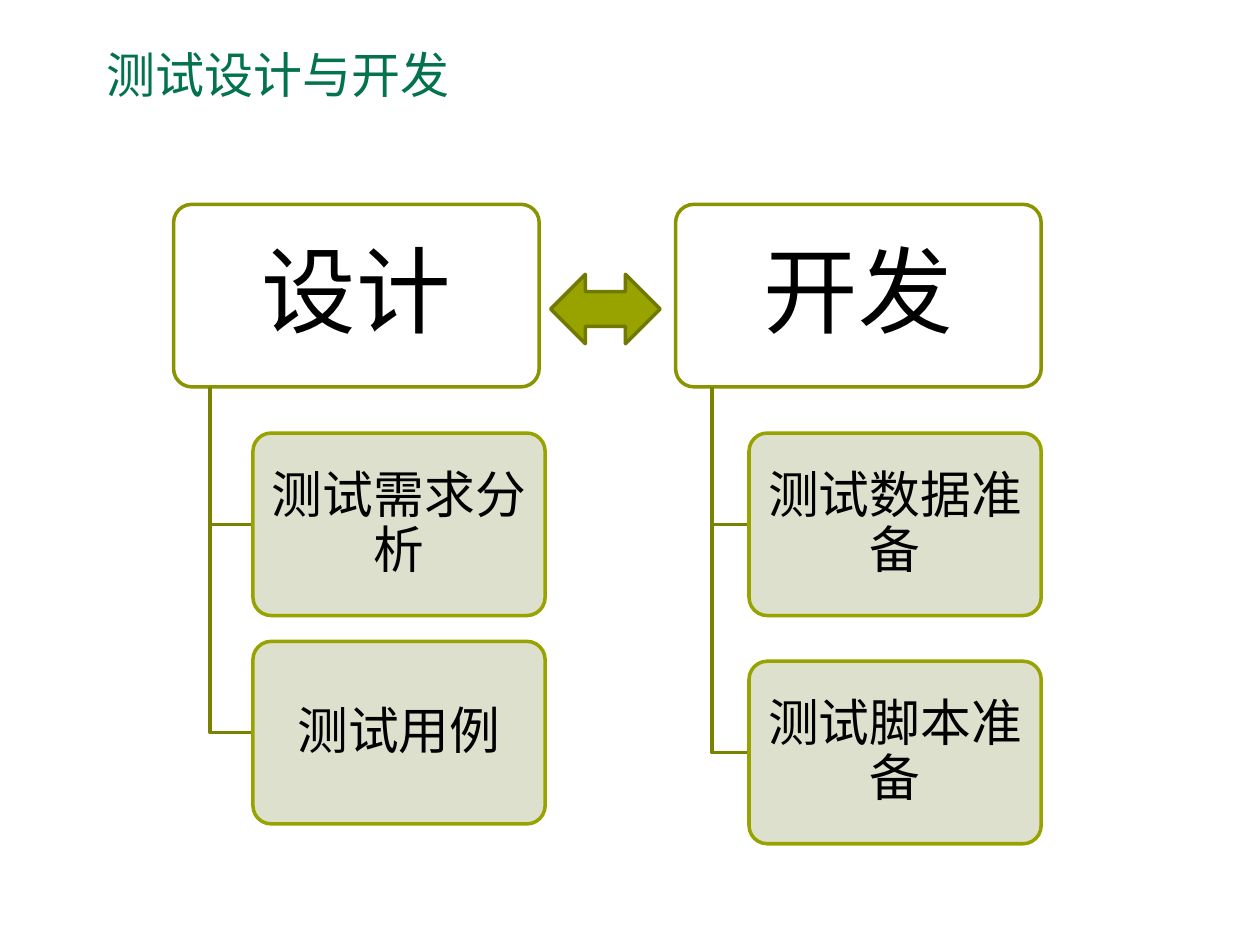
from dataclasses import dataclass

from lxml import etree
from pptx import Presentation
from pptx.dml.color import RGBColor
from pptx.enum.shapes import MSO_SHAPE
from pptx.enum.text import MSO_ANCHOR, PP_ALIGN
from pptx.oxml.ns import qn
from pptx.shapes.autoshape import Shape
from pptx.slide import Slide
from pptx.util import Cm, Pt

ROUNDED = MSO_SHAPE.ROUNDED_RECTANGLE
DOUBLE_ARROW = MSO_SHAPE.LEFT_RIGHT_ARROW
MIDDLE = MSO_ANCHOR.MIDDLE
LEFT, CENTER = PP_ALIGN.LEFT, PP_ALIGN.CENTER


@dataclass(frozen=True)
class Theme:
    """Colours, font and type sizes of the slide."""
    font: str = "Noto Sans CJK SC"
    title: str = "03724E"
    text: str = "000000"
    heading_fill: str = "FFFFFF"
    heading_line: str = "8A9400"
    item_fill: str = "DDE0CC"
    olive: str = "98A300"
    branch_line: str = "7A8300"
    arrow_line: str = "707900"
    title_size: int = 28
    heading_size: int = 54
    item_size: int = 29
    line_width: int = 2


@dataclass(frozen=True)
class Box:
    """A rectangle in centimetres."""
    left: float
    top: float
    width: float
    height: float


@dataclass(frozen=True)
class Group:
    """A heading with the items that branch from it."""
    heading: str
    left: float
    item_left: float
    item_gap: float
    items: tuple[str, ...]


THEME = Theme()
HEADING_TOP, HEADING_WIDTH, BOX_HEIGHT = 4.12, 7.37, 3.68
ITEM_TOP, ITEM_WIDTH = 8.73, 5.89
GROUPS = (
    Group("设计", 3.5, 5.1, 0.52, ("测试需求分析", "测试用例")),
    Group("开发", 13.62, 15.1, 0.92, ("测试数据准备", "测试脚本准备")),
)


def write_text(shape: Shape, text: str, *, size: int, color: str = THEME.text,
               align: PP_ALIGN = CENTER, spacing: float = 0.9,
               inset: tuple[float, float] = (0.25, 0.13)) -> None:
    """Write one formatted paragraph, centred vertically in the shape."""
    frame = shape.text_frame
    frame.word_wrap = True
    frame.vertical_anchor = MIDDLE
    frame.margin_left = frame.margin_right = Cm(inset[0])
    frame.margin_top = frame.margin_bottom = Cm(inset[1])
    paragraph = frame.paragraphs[0]
    paragraph.alignment = align
    paragraph.line_spacing = spacing
    run = paragraph.add_run()
    run.text = text
    run.font.size = Pt(size)
    run.font.name = THEME.font
    run.font.color.rgb = RGBColor.from_string(color)
    latin = run.font._element.find(qn("a:latin"))
    east_asian = etree.Element(qn("a:ea"), typeface=THEME.font)
    latin.addnext(east_asian)


def set_line(shape: Shape, color: str) -> None:
    """Give the shape its outline and remove its shadow."""
    shape.shadow.inherit = False
    shape.line.color.rgb = RGBColor.from_string(color)
    shape.line.width = Pt(THEME.line_width)


def add_shape(slide: Slide, kind: MSO_SHAPE, box: Box, *, fill: str, line: str) -> Shape:
    """Add a filled, outlined preset shape."""
    shape = slide.shapes.add_shape(
        kind, Cm(box.left), Cm(box.top), Cm(box.width), Cm(box.height))
    shape.fill.solid()
    shape.fill.fore_color.rgb = RGBColor.from_string(fill)
    set_line(shape, line)
    return shape


def add_card(slide: Slide, text: str, box: Box, *, fill: str, line: str,
             size: int, inset: tuple[float, float]) -> None:
    """Add a rounded box with centred text."""
    card = add_shape(slide, ROUNDED, box, fill=fill, line=line)
    card.adjustments[0] = 0.1
    write_text(card, text, size=size, inset=inset)


def add_branch(slide: Slide, left: float, top: float, right: float, bottom: float) -> None:
    """Draw the line that runs down from a heading and right to an item."""
    builder = slide.shapes.build_freeform(Cm(left), Cm(top))
    builder.add_line_segments(
        [(Cm(left), Cm(bottom)), (Cm(right), Cm(bottom))], close=False)
    branch = builder.convert_to_shape()
    branch.fill.background()
    set_line(branch, THEME.branch_line)


def add_group(slide: Slide, group: Group) -> None:
    """Draw a heading, its branches and its items."""
    add_card(slide, group.heading,
             Box(group.left, HEADING_TOP, HEADING_WIDTH, BOX_HEIGHT),
             fill=THEME.heading_fill, line=THEME.heading_line,
             size=THEME.heading_size, inset=(0.28, 0.2))
    trunk = group.left + HEADING_WIDTH / 10
    for index, text in enumerate(group.items):
        top = ITEM_TOP + index * (BOX_HEIGHT + group.item_gap)
        add_branch(slide, trunk, HEADING_TOP + BOX_HEIGHT,
                   group.item_left, top + BOX_HEIGHT / 2)
        add_card(slide, text, Box(group.item_left, top, ITEM_WIDTH, BOX_HEIGHT),
                 fill=THEME.item_fill, line=THEME.olive,
                 size=THEME.item_size, inset=(0.15, 0.1))


def main() -> None:
    """Build and save the slide."""
    presentation = Presentation()
    presentation.slide_width, presentation.slide_height = Cm(25.4), Cm(19.05)
    slide = presentation.slides.add_slide(presentation.slide_layouts[5])
    title = slide.shapes.title
    title.left, title.top, title.width, title.height = Cm(1.9), Cm(0.7), Cm(17.3), Cm(1.58)
    write_text(title, "测试设计与开发", size=THEME.title_size,
               color=THEME.title, align=LEFT, spacing=1.0)
    for group in GROUPS:
        add_group(slide, group)
    add_shape(slide, DOUBLE_ARROW, Box(11.1, 5.53, 2.21, 1.4),
              fill=THEME.olive, line=THEME.arrow_line)
    presentation.save("out.pptx")


main()
